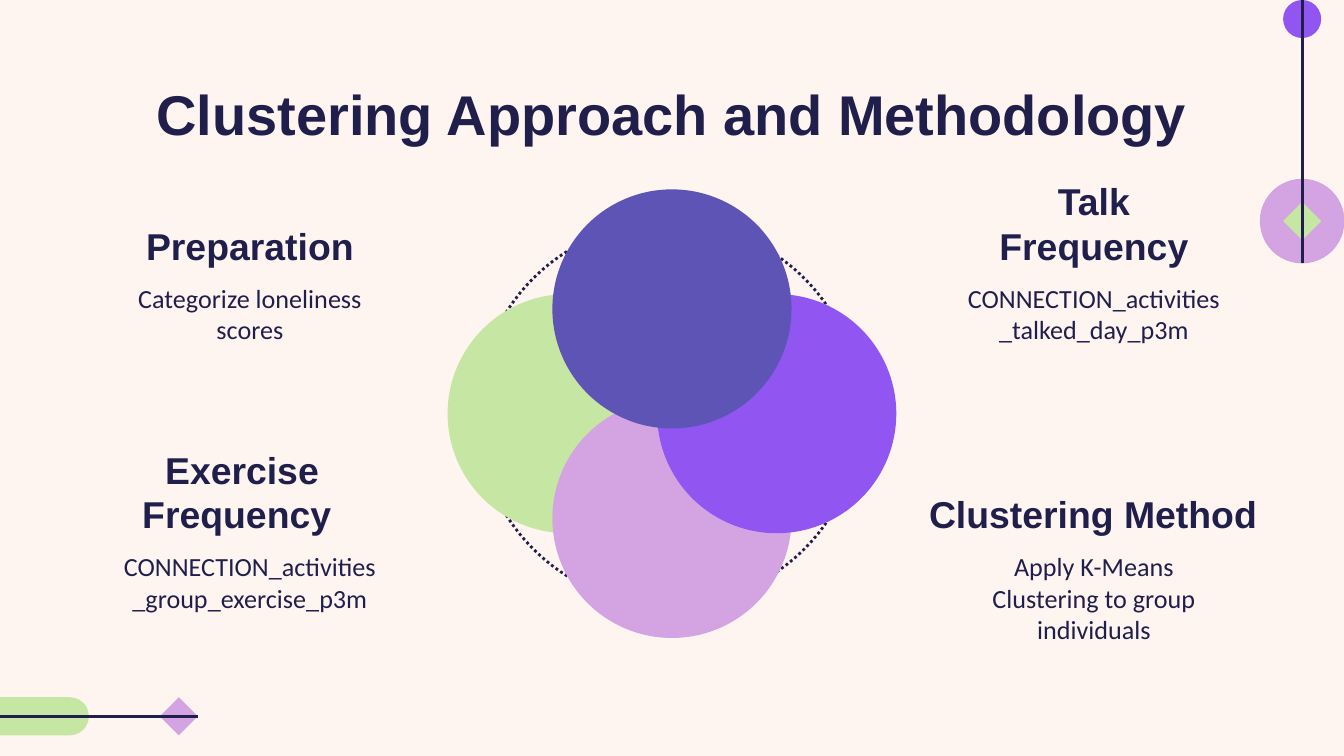
from lxml import etree
from pptx import Presentation
from pptx.dml.color import RGBColor
from pptx.enum.dml import MSO_LINE
from pptx.enum.shapes import MSO_CONNECTOR, MSO_SHAPE
from pptx.enum.text import MSO_ANCHOR, PP_ALIGN
from pptx.oxml.ns import qn
from pptx.util import Cm, Pt

CREAM = RGBColor(0xFE, 0xF5, 0xF0)
NAVY = RGBColor(0x20, 0x1F, 0x4B)
GREEN = RGBColor(0xC6, 0xE6, 0xA3)
LILAC = RGBColor(0xD4, 0xA4, 0xE2)
VIOLET = RGBColor(0x91, 0x56, 0xF1)
INDIGO = RGBColor(0x5E, 0x54, 0xB5)

BEAD = 0.72  # side of the small ornaments
BODY_WIDTH = 5.49

# Body left, row top, heading left, heading width, heading, body
TOPICS = [
    (1.98, 3.76, 1.98, BODY_WIDTH, "Preparation", "Categorize loneliness scores"),
    (17.93, 8.84, 17.04, 7.24, "Clustering Method",
     "Apply K-Means Clustering to group individuals"),
    (17.93, 3.76, 17.93, BODY_WIDTH, "Talk Frequency",
     "CONNECTION_activities_talked_day_p3m"),
    (1.98, 8.84, 1.12, 6.91, "Exercise Frequency ",
     "CONNECTION_activities_group_exercise_p3m"),
]


def add_text(slide, text, left, top, width, height, *, size, font="Arial",
             bold=True, anchor=MSO_ANCHOR.TOP):
    frame = slide.shapes.add_textbox(Cm(left), Cm(top), Cm(width), Cm(height)).text_frame
    frame.word_wrap = True
    frame.vertical_anchor = anchor
    frame.margin_left = frame.margin_right = Cm(0.25)
    frame.margin_top = frame.margin_bottom = Cm(0.25)
    paragraph = frame.paragraphs[0]
    paragraph.alignment = PP_ALIGN.CENTER
    run = paragraph.add_run()
    run.text = text
    run.font.name = font
    run.font.size = Pt(size)
    run.font.bold = bold
    run.font.color.rgb = NAVY


def add_figure(slide, kind, left, top, width, height, color=None):
    """Add a filled shape, or a dotted outline when no colour is given."""
    figure = slide.shapes.add_shape(kind, Cm(left), Cm(top), Cm(width), Cm(height))
    figure.shadow.inherit = False
    if color is None:
        figure.fill.background()
        figure.line.color.rgb = NAVY
        figure.line.width = Pt(1.5)
        figure.line.dash_style = MSO_LINE.ROUND_DOT
    else:
        figure.fill.solid()
        figure.fill.fore_color.rgb = color
        figure.line.fill.background()
    return figure


def add_line(slide, x1, y1, x2, y2):
    line = slide.shapes.add_connector(
        MSO_CONNECTOR.STRAIGHT, Cm(x1), Cm(y1), Cm(x2), Cm(y2))
    line.line.color.rgb = NAVY
    line.line.width = Pt(1.5)
    etree.SubElement(line._element.spPr, qn("a:effectLst"))
    return line


def add_corner_ornament(slide, left, top, width, height):
    middle = left + width / 2
    bead_left = middle - BEAD / 2
    disc_top = top + height - width
    add_figure(slide, MSO_SHAPE.OVAL, left, disc_top, width, width, LILAC)
    add_figure(slide, MSO_SHAPE.DIAMOND, bead_left, disc_top + (width - BEAD) / 2,
               BEAD, BEAD, GREEN)
    add_figure(slide, MSO_SHAPE.OVAL, bead_left, top, BEAD, BEAD, VIOLET)
    add_line(slide, middle, top + height, middle, top)


def add_bottom_ornament(slide, left, top, width, height):
    middle = top + height / 2
    pill = add_figure(slide, MSO_SHAPE.ROUNDED_RECTANGLE, left, top, 3.43, height, GREEN)
    pill.adjustments[0] = 0.5
    diamond = add_figure(slide, MSO_SHAPE.DIAMOND, left + width - height, top,
                         height, height, LILAC)
    line = add_line(slide, left + 0.53, middle, left + width, middle)
    line.end_connect(diamond, 3)


def add_topic(slide, left, top, heading_left, heading_width, heading, body):
    add_text(slide, body, left, top + 1.32, BODY_WIDTH, 1.7, size=14,
             font="Calibri", bold=False)
    add_text(slide, heading, heading_left, top, heading_width, 1.55, size=20,
             anchor=MSO_ANCHOR.BOTTOM)


def add_overlapping_circles(slide, left, top, side):
    diameter, ring = 4.52, 7.24
    step = (side - diameter) / 2
    inset = (side - ring) / 2
    # Dotted ring, slightly left of the centre
    add_figure(slide, MSO_SHAPE.OVAL, left + inset - 0.06, top + inset, ring, ring)
    # Circles from back to front: left, bottom, right, top
    for column, row, color in [(0, 1, GREEN), (1, 2, LILAC), (2, 1, VIOLET), (1, 0, INDIGO)]:
        add_figure(slide, MSO_SHAPE.OVAL, left + column * step, top + row * step,
                   diameter, diameter, color)


def main():
    deck = Presentation()
    deck.slide_width, deck.slide_height = Cm(25.4), Cm(14.29)
    slide = deck.slides.add_slide(deck.slide_layouts[6])
    slide.background.fill.solid()
    slide.background.fill.fore_color.rgb = CREAM

    # Decoration
    add_corner_ornament(slide, 23.81, 0, 1.6, 4.98)
    add_bottom_ornament(slide, -1.75, 13.18, 5.49, BEAD)

    # Title and topics
    add_text(slide, "Clustering Approach and Methodology", 2, 1.25, 21.4, 1.6, size=30)
    for topic in TOPICS:
        add_topic(slide, *topic)

    # Central diagram
    add_overlapping_circles(slide, 8.46, 3.58, 8.48)
    deck.save("out.pptx")


if __name__ == "__main__":
    main()
